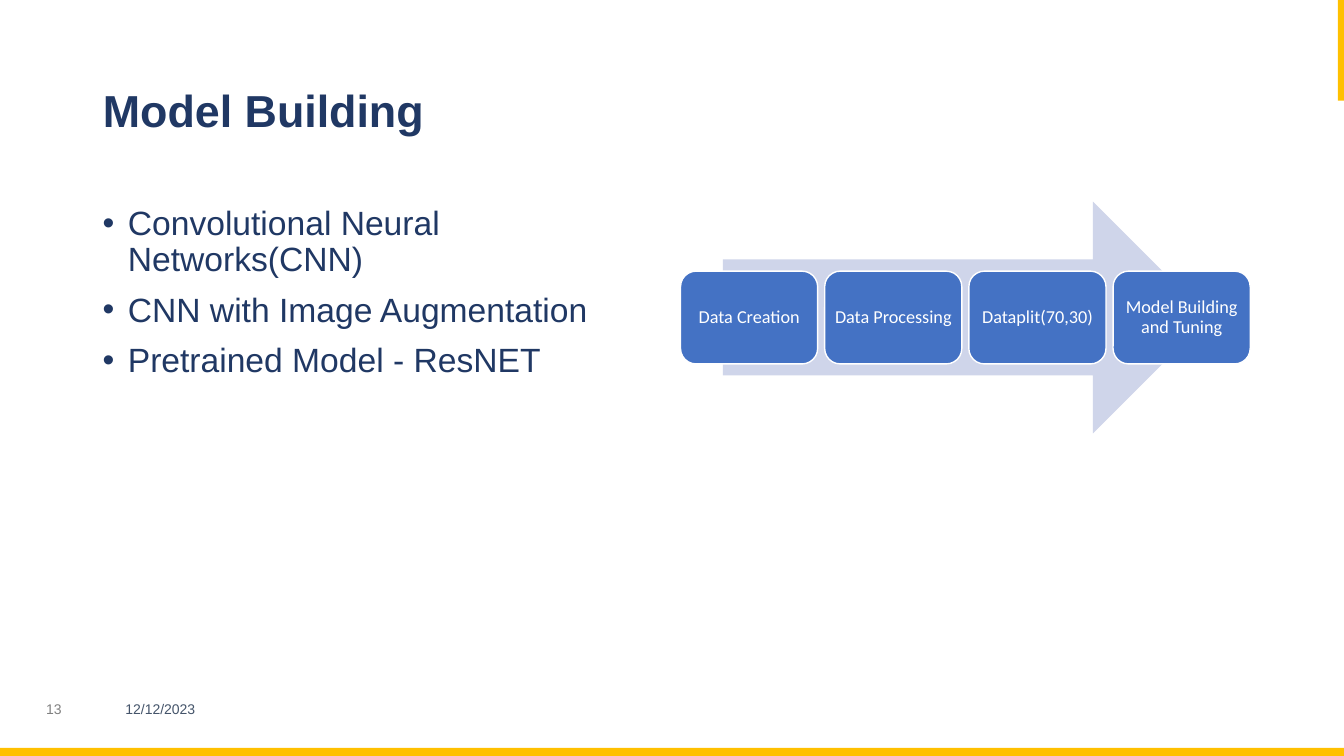
from dataclasses import dataclass

from lxml.etree import SubElement
from pptx import Presentation
from pptx.dml.color import RGBColor
from pptx.enum.shapes import MSO_SHAPE
from pptx.enum.text import MSO_ANCHOR, PP_ALIGN
from pptx.oxml.ns import qn
from pptx.util import Inches, Pt


@dataclass(frozen=True)
class Theme:
    navy: str = "203864"
    gold: str = "FFC000"
    gray: str = "808080"
    slate: str = "44546A"
    blue: str = "4472C4"
    pale_blue: str = "CFD5EA"
    white: str = "FFFFFF"
    font: str = "Arial"
    step_font: str = "Calibri"
    title_size: int = 32
    body_size: int = 24
    step_size: int = 13
    footer_size: int = 10


theme = Theme()


def format_text(paragraph, font_name, size, color, alignment, bold=False):
    paragraph.alignment = alignment
    for run in paragraph.runs:
        run.font.name = font_name
        run.font.size = Pt(size)
        run.font.bold = bold
        run.font.color.rgb = RGBColor.from_string(color)


def add_filled_shape(shapes, kind, left, top, width, height, color):
    shape = shapes.add_shape(kind, Inches(left), Inches(top), Inches(width), Inches(height))
    shape.shadow.inherit = False
    shape.fill.solid()
    shape.fill.fore_color.rgb = RGBColor.from_string(color)
    shape.line.fill.background()
    return shape


presentation = Presentation()
presentation.slide_width = Inches(13.33)
presentation.slide_height = Inches(7.5)
slide = presentation.slides.add_slide(presentation.slide_layouts[5])

add_filled_shape(slide.shapes, MSO_SHAPE.RECTANGLE, 13.27, 0, 0.08, 1, theme.gold)
add_filled_shape(slide.shapes, MSO_SHAPE.RECTANGLE, 0, 7.42, 13.33, 0.09, theme.gold)

title = slide.shapes.title
title.left, title.top = Inches(0.92), Inches(0.4)
title.width, title.height = Inches(11.5), Inches(1.45)
title.text_frame.text = "Model Building"
title.text_frame.vertical_anchor = MSO_ANCHOR.MIDDLE
title_paragraph = title.text_frame.paragraphs[0]
title_paragraph.line_spacing = 0.9
format_text(title_paragraph, theme.font, theme.title_size, theme.navy, PP_ALIGN.LEFT, bold=True)

models = slide.shapes.add_textbox(Inches(0.92), Inches(2), Inches(5.67), Inches(4.76))
models.text_frame.word_wrap = True
models.text_frame.text = "\n".join([
    "Convolutional Neural Networks(CNN)",
    "CNN with Image Augmentation",
    "Pretrained Model - ResNET",
])
for paragraph in models.text_frame.paragraphs:
    paragraph.line_spacing = 0.9
    paragraph.space_before = Pt(10)
    format_text(paragraph, theme.font, theme.body_size, theme.navy, PP_ALIGN.LEFT)
    properties = paragraph._p.get_or_add_pPr()
    properties.set("marL", str(Inches(0.25)))
    properties.set("indent", str(Inches(-0.25)))
    SubElement(properties, qn("a:buFont"), typeface=theme.font)
    SubElement(properties, qn("a:buChar"), char="•")

footers = [
    ("13", 0.16, 0.75, theme.gray),
    ("12/12/2023", 0.92, 1.34, theme.slate),
]
for text, left, width, color in footers:
    footer = slide.shapes.add_textbox(Inches(left), Inches(6.83), Inches(width), Inches(0.4))
    footer.text_frame.word_wrap = True
    footer.text_frame.vertical_anchor = MSO_ANCHOR.MIDDLE
    footer.text_frame.text = text
    format_text(footer.text_frame.paragraphs[0], theme.font, theme.footer_size, color, PP_ALIGN.CENTER)

process = slide.shapes.add_group_shape()
add_filled_shape(process.shapes, MSO_SHAPE.RIGHT_ARROW, 7.17, 2, 4.82, 2.3, theme.pale_blue)

steps = ["Data Creation", "Data Processing", "Dataplit(70,30)", "Model Building and Tuning"]
step_width = 1.36
step_gap = 0.07
for index, text in enumerate(steps):
    left = 6.75 + index * (step_width + step_gap)
    step = add_filled_shape(
        process.shapes, MSO_SHAPE.ROUNDED_RECTANGLE, left, 2.69, step_width, 0.92, theme.blue
    )
    step.line.color.rgb = RGBColor.from_string(theme.white)
    step.line.width = Pt(1)
    frame = step.text_frame
    frame.word_wrap = True
    frame.vertical_anchor = MSO_ANCHOR.MIDDLE
    frame.margin_left = frame.margin_right = Inches(0.05)
    frame.margin_top = frame.margin_bottom = Inches(0.05)
    frame.text = text
    step_paragraph = frame.paragraphs[0]
    step_paragraph.line_spacing = 0.9
    format_text(step_paragraph, theme.step_font, theme.step_size, theme.white, PP_ALIGN.CENTER)

presentation.save("out.pptx")
